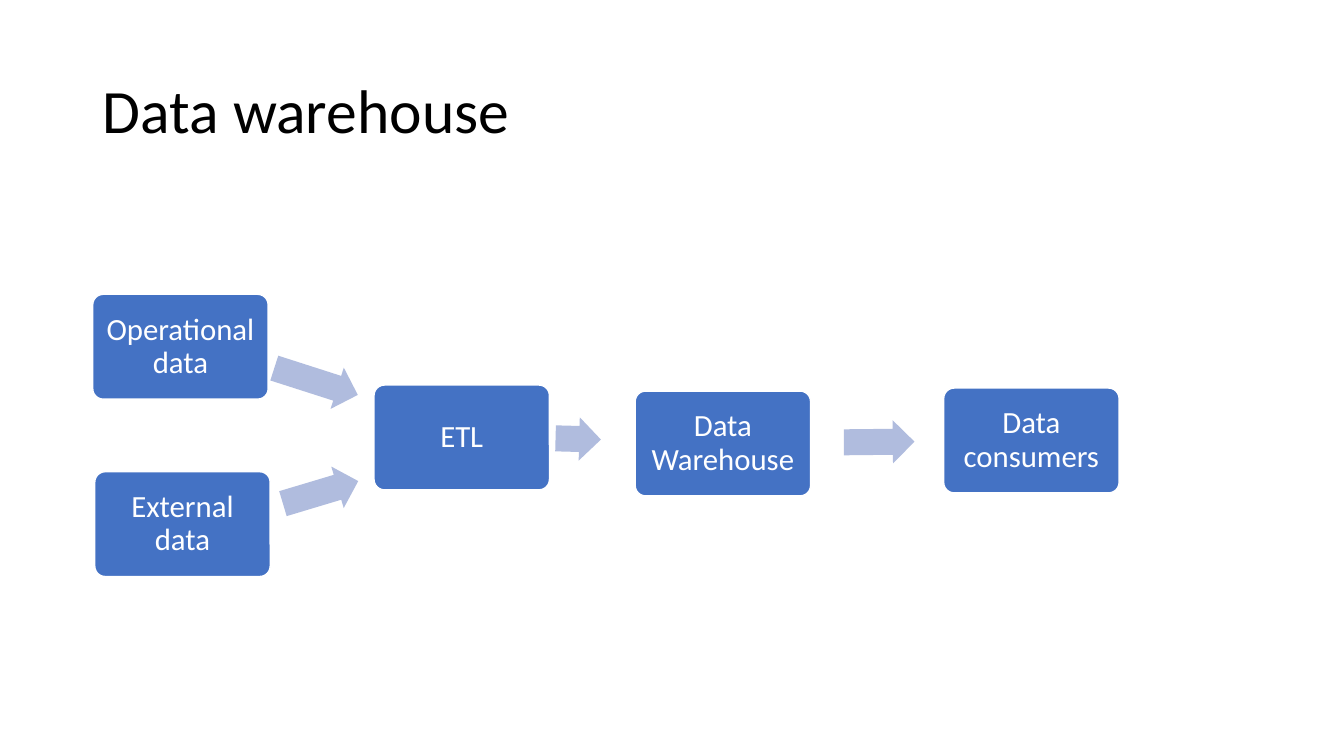
import pptx
import pptx.dml.color
import pptx.enum.shapes
import pptx.enum.text
import pptx.util

Inches = pptx.util.Inches
Pt = pptx.util.Pt
MSO_SHAPE = pptx.enum.shapes.MSO_SHAPE
PP_ALIGN = pptx.enum.text.PP_ALIGN
MSO_ANCHOR = pptx.enum.text.MSO_ANCHOR

STAGE_WIDTH, STAGE_HEIGHT = 1.74, 1.04
FLOW_HEIGHT = 0.43
STAGES = [
    ("Operational data", 0, 0),
    ("External data", 0.02, 1.76),
    ("ETL", 2.79, 0.9),
    ("Data Warehouse", 5.38, 0.96),
    ("Data consumers", 8.44, 0.93),
]
FLOWS = [
    (1.78, 0.65, 0.87, 17.8),
    (1.87, 1.75, 0.78, 343.3),
    (4.59, 1.22, 0.45, 1.5),
    (7.45, 1.25, 0.7, 359.4),
]


def paint(color_format, color):
    color_format.rgb = pptx.dml.color.RGBColor.from_string(color)


def fill_solid(shape, color):
    shape.shadow.inherit = False
    shape.fill.solid()
    paint(shape.fill.fore_color, color)


def format_text(frame, size, color, alignment):
    frame.word_wrap = True
    frame.auto_size = pptx.enum.text.MSO_AUTO_SIZE.NONE
    frame.vertical_anchor = MSO_ANCHOR.MIDDLE
    paragraph = frame.paragraphs[0]
    paragraph.alignment = alignment
    paragraph.line_spacing = 0.9
    for run in paragraph.runs:
        run.font.name = "Calibri"
        run.font.size = Pt(size)
        paint(run.font.color, color)


def add_title(slide, left, top, width, height):
    title = slide.shapes.title
    title.left, title.top = Inches(left), Inches(top)
    title.width, title.height = Inches(width), Inches(height)
    title.text_frame.text = "Data warehouse"
    format_text(title.text_frame, 44, "000000", PP_ALIGN.LEFT)


def add_stage(slide, label, left, top):
    stage = slide.shapes.add_shape(
        MSO_SHAPE.ROUNDED_RECTANGLE, Inches(left), Inches(top),
        Inches(STAGE_WIDTH), Inches(STAGE_HEIGHT))
    stage.adjustments[0] = 0.1
    fill_solid(stage, "4472C4")
    paint(stage.line.color, "FFFFFF")
    stage.line.width = Pt(1)
    frame = stage.text_frame
    frame.margin_left = frame.margin_right = Inches(0.09)
    frame.margin_top = frame.margin_bottom = Inches(0.09)
    frame.text = label
    format_text(frame, 22, "FFFFFF", PP_ALIGN.CENTER)


def add_flow(slide, left, top, width, angle):
    flow = slide.shapes.add_shape(
        MSO_SHAPE.RIGHT_ARROW, Inches(left), Inches(top),
        Inches(width), Inches(FLOW_HEIGHT))
    flow.adjustments[0] = 0.6
    flow.adjustments[1] = 0.5
    flow.rotation = angle
    fill_solid(flow, "B0BCDE")
    flow.line.fill.background()


def add_pipeline(slide, left, top):
    for label, x, y in STAGES:
        add_stage(slide, label, left + x, top + y)
    for x, y, width, angle in FLOWS:
        add_flow(slide, left + x, top + y, width, angle)


def main():
    deck = pptx.Presentation()
    deck.slide_width, deck.slide_height = Inches(13.33), Inches(7.5)
    slide = deck.slides.add_slide(deck.slide_layouts.get_by_name("Title Only"))
    add_title(slide, 0.92, 0.4, 11.5, 1.45)
    add_pipeline(slide, 0.92, 2.92)
    deck.save("out.pptx")


if __name__ == "__main__":
    main()
